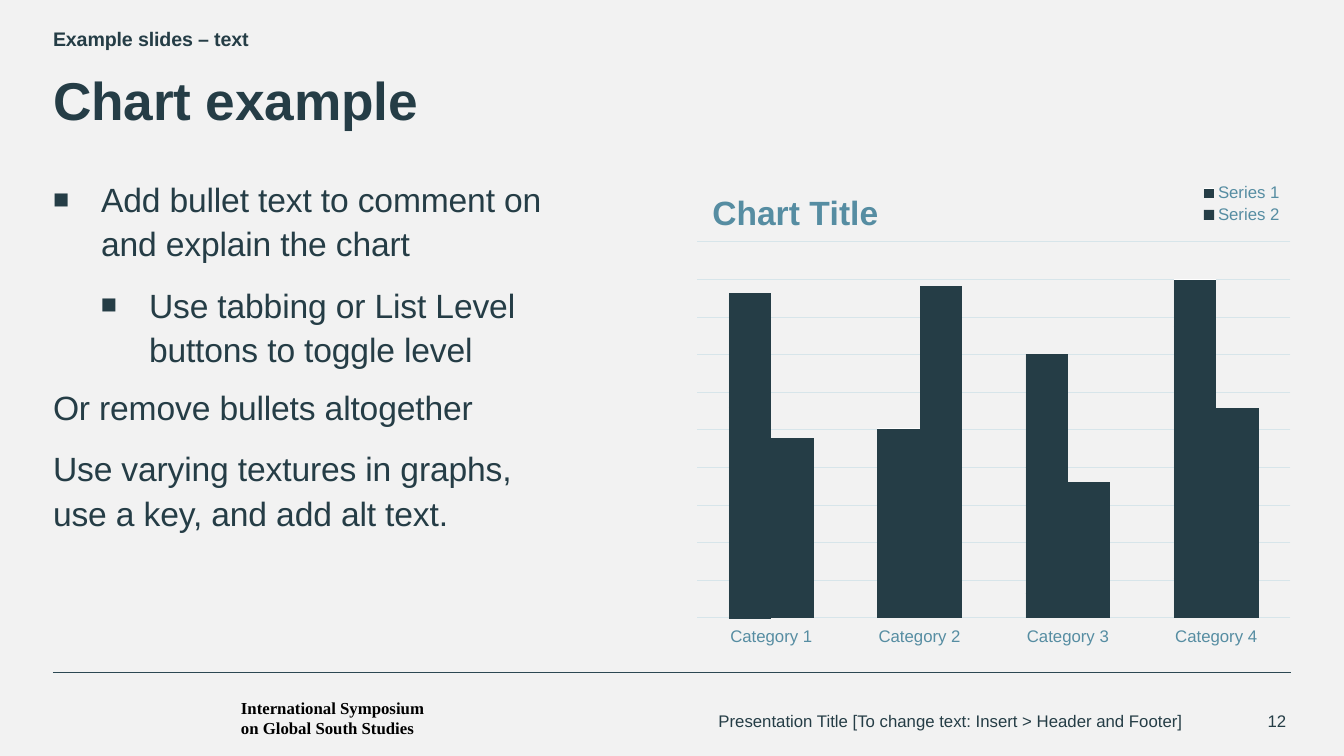
from lxml import etree
from pptx import Presentation
from pptx.chart.data import CategoryChartData
from pptx.dml.color import RGBColor
from pptx.enum.chart import XL_CHART_TYPE, XL_LEGEND_POSITION as LEGEND, XL_TICK_LABEL_POSITION as LABELS
from pptx.enum.chart import XL_TICK_MARK as TICK
from pptx.enum.dml import MSO_PATTERN
from pptx.enum.shapes import MSO_CONNECTOR
from pptx.enum.text import MSO_ANCHOR as ANCHOR, MSO_AUTO_SIZE, PP_ALIGN as ALIGN
from pptx.oxml.ns import qn
from pptx.util import Pt

PX = 914400 / 100.8
DARK, BLUE, PALE = "253D46", "568DA2", "D7E5EA"
CATEGORIES = ["Category 1", "Category 2", "Category 3", "Category 4"]
SERIES = {"Series 1": [96, 56, 78, 100], "Series 2": [53, 98, 40, 62]}
BULLETS = [  # text, indent level (0 means no bullet), space after
    ("Add bullet text to comment on and explain the chart", 1, 12),
    ("Use tabbing or List Level buttons to toggle level", 2, 10),
    ("Or remove bullets altogether", 0, 12),
    ("Use varying textures in graphs, use a key, and add alt text.", 0, 12),
]


def px(*lengths):
    return [round(n * PX) for n in lengths]


def rgb(color):
    return RGBColor.from_string(color)


def set_font(font, size, color=DARK, bold=False, name="Arial"):
    font.name, font.size, font.bold = name, Pt(size), bold
    font.color.rgb = rgb(color)


def add_text(s, box, text, align=ALIGN.LEFT, indent=0, inset=0, **font):
    tf = s.shapes.add_textbox(*px(*box)).text_frame
    tf.word_wrap = True
    tf.vertical_anchor = ANCHOR.MIDDLE
    tf.margin_left = tf.margin_right = tf.margin_top = tf.margin_bottom = px(inset)[0]
    tf.text = text
    p = tf.paragraphs[0]
    p.alignment = align
    p._p.get_or_add_pPr().set("marL", str(px(indent)[0]))
    for r in p.runs:
        set_font(r.font, 12, **font)


def place(sp, box, anchor=ANCHOR.TOP):
    """Move a placeholder and clear its insets."""
    sp.left, sp.top, sp.width, sp.height = px(*box)
    tf = sp.text_frame
    tf.margin_left = tf.margin_right = tf.margin_top = tf.margin_bottom = 0
    tf.auto_size = MSO_AUTO_SIZE.NONE
    tf.vertical_anchor = anchor
    return tf


def format_paragraph(p, size, bold=False, line=1.1, after=12, level=0):
    p.alignment = ALIGN.LEFT
    p.line_spacing, p.space_before, p.space_after = line, Pt(0), Pt(after)
    p.level = max(level - 1, 0)
    pPr = p._p.get_or_add_pPr()
    step = px(48)[0]
    pPr.set("marL", str(level * step))
    pPr.set("indent", str(-step if level else 0))
    if level:
        color = etree.SubElement(pPr, qn("a:buClr"))
        etree.SubElement(color, qn("a:srgbClr"), val=DARK)
        etree.SubElement(pPr, qn("a:buSzPct"), val="80000")
        etree.SubElement(pPr, qn("a:buFont"), typeface="Arial")
        etree.SubElement(pPr, qn("a:buChar"), char="■")
    else:
        etree.SubElement(pPr, qn("a:buNone"))
    for r in p.runs:
        set_font(r.font, size, bold=bold)
        r._r.get_or_add_rPr().set("spc", "-10")


def add_list(sp, box):
    tf = place(sp, box)
    tf.text = "\n".join(text for text, _, _ in BULLETS)
    for p, (_, level, after) in zip(tf.paragraphs, BULLETS):
        format_paragraph(p, 24, after=after, level=level)


def add_rule(s, x1, x2, y):
    rule = s.shapes.add_connector(MSO_CONNECTOR.STRAIGHT, *px(x1, y, x2, y))
    rule.line.color.rgb = rgb("2C4853")
    rule.line.width = Pt(0.25)
    etree.SubElement(rule._element.spPr, qn("a:effectLst"))


def set_layout(parent, index, x, y, w=None, h=None, inner=False):
    """Give a chart part a manual position, in fractions of the chart."""
    for old in parent.findall(qn("c:layout")):
        parent.remove(old)
    layout = etree.Element(qn("c:layout"))
    parent.insert(index, layout)
    manual = etree.SubElement(layout, qn("c:manualLayout"))
    values = {"layoutTarget": "inner" if inner else None, "xMode": "edge",
              "yMode": "edge", "x": x, "y": y, "w": w, "h": h}
    for tag, value in values.items():
        if value is not None:
            etree.SubElement(manual, qn("c:" + tag), val=str(value))


def format_axes(chart):
    cat, val = chart.category_axis, chart.value_axis
    for axis in (cat, val):
        axis.major_tick_mark = axis.minor_tick_mark = TICK.NONE
        set_font(axis.tick_labels.font, 12, BLUE)
    cat.tick_label_position = LABELS.LOW
    val.tick_label_position = LABELS.NONE
    val.minimum_scale, val.maximum_scale, val.major_unit = 0, 111, 11.1
    val.format.line.fill.background()
    for line in (cat.format.line, val.major_gridlines.format.line):
        line.color.rgb = rgb(PALE)
        line.width = Pt(0.75)


def add_column_chart(s, box):
    data = CategoryChartData()
    data.categories = CATEGORIES
    for name, values in SERIES.items():
        data.add_series(name, values)
    chart = s.shapes.add_chart(XL_CHART_TYPE.COLUMN_CLUSTERED, *px(*box), data).chart
    set_font(chart.font, 10)
    format_axes(chart)

    plot = chart.plots[0]
    plot.gap_width, plot.overlap, plot.vary_by_categories = 150, 0, False
    striped, solid = [series.format.fill for series in plot.series]
    striped.patterned()
    striped.pattern = MSO_PATTERN.DARK_HORIZONTAL
    striped.fore_color.rgb, striped.back_color.rgb = rgb(DARK), rgb("FFFFFF")
    solid.solid()
    solid.fore_color.rgb = rgb(DARK)

    title = chart.chart_title
    title.text_frame.text = "Chart Title"
    set_font(title.text_frame.paragraphs[0].runs[0].font, 24, BLUE, True)
    chart.has_legend = True
    legend = chart.legend
    legend.position = LEGEND.RIGHT
    legend.include_in_layout = False
    set_font(legend.font, 12, BLUE)

    set_layout(title._element, 1, 0.04, 0.02)
    set_layout(legend._element, 1, 0.85, 0.01, 0.14, 0.1)
    plot_area = chart._chartSpace.find(".//" + qn("c:plotArea"))
    set_layout(plot_area, 0, 0.025, 0.139, 0.975, 0.782, inner=True)


def main():
    prs = Presentation()
    prs.slide_width, prs.slide_height = px(1344, 756)
    s = prs.slides.add_slide(prs.slide_layouts[3])
    s.background.fill.solid()
    s.background.fill.fore_color.rgb = rgb("F2F2F2")
    title, body, section = s.placeholders

    add_rule(s, 53, 1291, 672)
    add_text(s, (42, 694, 394, 48), "International Symposium\von Global South Studies",
             indent=189, inset=10, color="000000", bold=True, name="Times New Roman")

    tf = place(title, (53, 52, 1238, 80), ANCHOR.BOTTOM)
    tf.text = "Chart example"
    format_paragraph(tf.paragraphs[0], 38, True, line=0.9, after=0)
    tf = place(section, (53, 25, 1238, 31))
    tf.text = "Example slides – text"
    format_paragraph(tf.paragraphs[0], 14, True)
    add_list(body, (53, 175, 508, 481))

    add_column_chart(s, (682, 175, 609, 481))
    add_text(s, (263, 701, 920, 40),
             "Presentation Title [To change text: Insert > Header and Footer]", ALIGN.RIGHT)
    add_text(s, (1246, 701, 45, 40), "12 ", ALIGN.RIGHT)
    prs.save("out.pptx")


if __name__ == "__main__":
    main()
